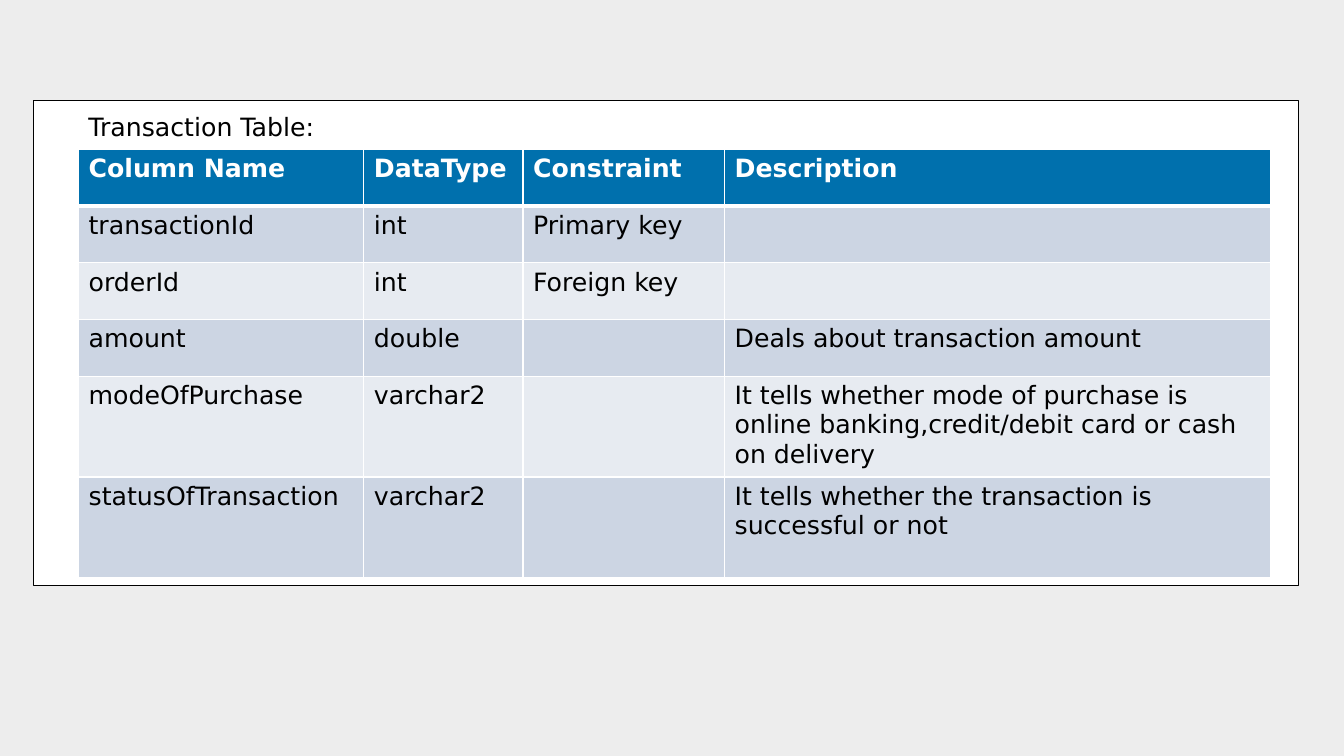
from lxml.etree import SubElement
from pptx import Presentation
from pptx.dml.color import RGBColor
from pptx.enum.shapes import MSO_SHAPE
from pptx.oxml.ns import qn
from pptx.util import Cm, Pt

COLUMN_WIDTHS = [7.19, 4.01, 5.08, 13.77]
ROW_HEIGHTS = [1.43] * 4 + [2.53] * 2
ROWS = [
    ["Column Name", "DataType", "Constraint", "Description"],
    ["transactionId", "int", "Primary key", ""],
    ["orderId", "int", "Foreign key", ""],
    ["amount", "double", "", "Deals about transaction amount"],
    ["modeOfPurchase", "varchar2", "",
     "It tells whether mode of purchase is online banking,credit/debit card or cash on delivery"],
    ["statusOfTransaction", "varchar2", "",
     "It tells whether the transaction is successful or not"],
]


def rgb(color):
    return RGBColor.from_string(color)


def set_fill(fill, color):
    fill.solid()
    fill.fore_color.rgb = rgb(color)


def write(tf, text, size=18, color="000000", bold=False, font="DejaVu Sans"):
    tf.word_wrap = True
    p = tf.paragraphs[0]
    p.font.size = Pt(size)
    if text:
        r = p.add_run()
        r.text = text
        r.font.name = font
        r.font.size = Pt(size)
        r.font.bold = bold
        r.font.color.rgb = rgb(color)


def add_panel(s, x, y, w, h):
    sp = s.shapes.add_shape(MSO_SHAPE.RECTANGLE, Cm(x), Cm(y), Cm(w), Cm(h))
    sp.shadow.inherit = False
    set_fill(sp.fill, "FFFFFF")
    sp.line.color.rgb = rgb("000000")
    sp.line.width = Pt(1)


def add_label(s, text, x, y, w, h):
    sp = s.shapes.add_textbox(Cm(x), Cm(y), Cm(w), Cm(h))
    write(sp.text_frame, text)


def set_borders(cell, color="FFFFFF", **widths):
    tcPr = cell._tc.get_or_add_tcPr()
    for side in "LRTB":
        ln = SubElement(tcPr, qn("a:ln" + side), w=str(Pt(widths.get(side, 1))))
        fill = SubElement(ln, qn("a:solidFill"))
        SubElement(fill, qn("a:srgbClr"), val=color)


def add_grid(s, x, y):
    size = Cm(sum(COLUMN_WIDTHS)), Cm(sum(ROW_HEIGHTS))
    frame = s.shapes.add_table(len(ROWS), len(COLUMN_WIDTHS), Cm(x), Cm(y), *size)
    table = frame.table
    for column, width in zip(table.columns, COLUMN_WIDTHS):
        column.width = Cm(width)
    for i, (row, height) in enumerate(zip(table.rows, ROW_HEIGHTS)):
        row.height = Cm(height)
        header = i == 0
        band = "0070AD" if header else ("E7EBF1", "CCD5E3")[i % 2]
        for cell, text in zip(row.cells, ROWS[i]):
            set_borders(cell, T=3 if i == 1 else 1, B=3 if header else 1)
            set_fill(cell.fill, band)
            write(cell.text_frame, text, bold=header,
                  color="FFFFFF" if header else "000000")


def main():
    prs = Presentation()
    prs.slide_width, prs.slide_height = Cm(33.87), Cm(19.05)
    s = prs.slides.add_slide(prs.slide_layouts[6])
    set_fill(s.background.fill, "EDEDED")
    add_panel(s, 0.84, 2.54, 31.88, 12.22)
    add_label(s, "Transaction Table:", 1.98, 2.67, 26.24, 2.57)
    add_grid(s, 1.98, 3.76)
    prs.save("out.pptx")


if __name__ == "__main__":
    main()
